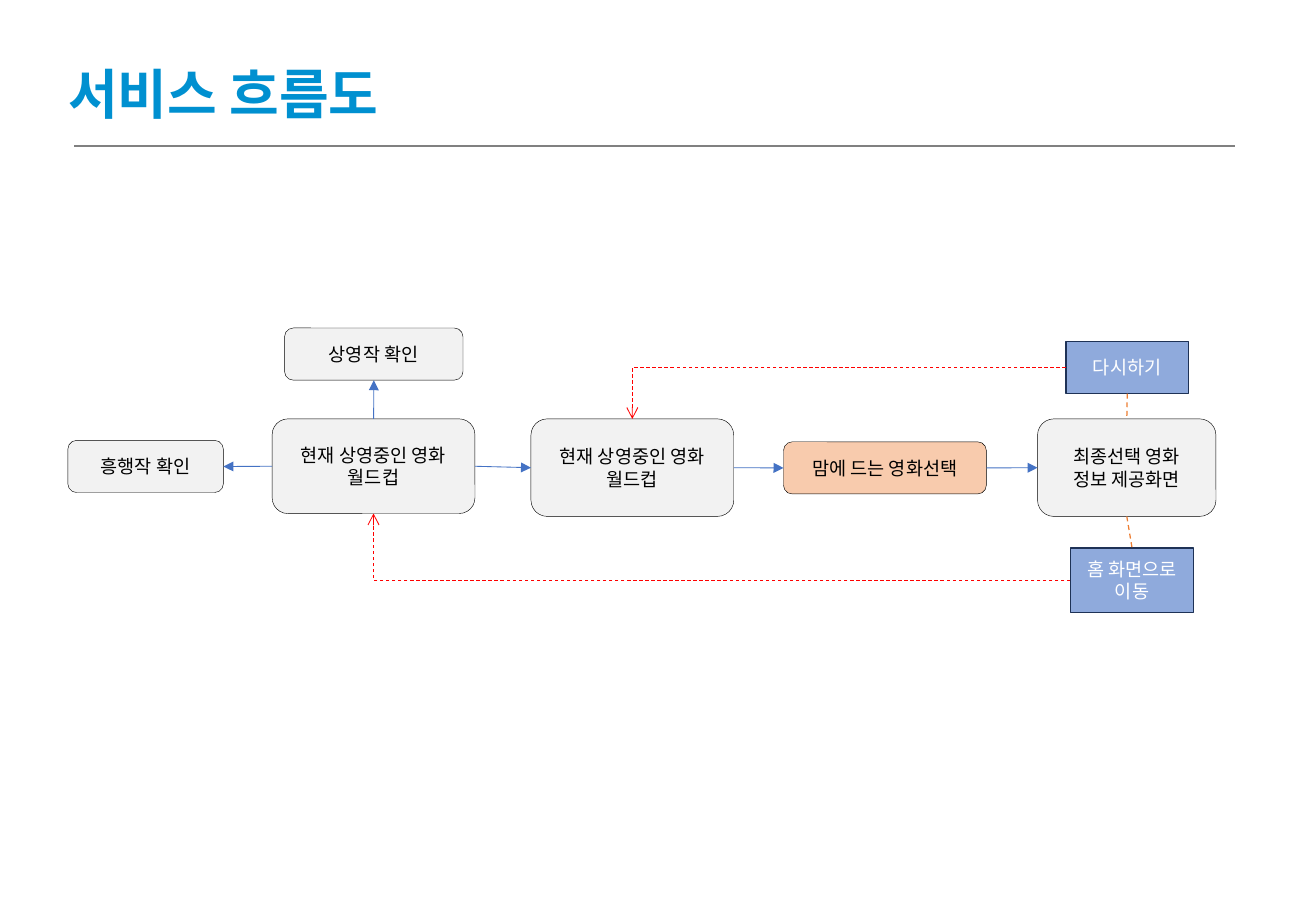
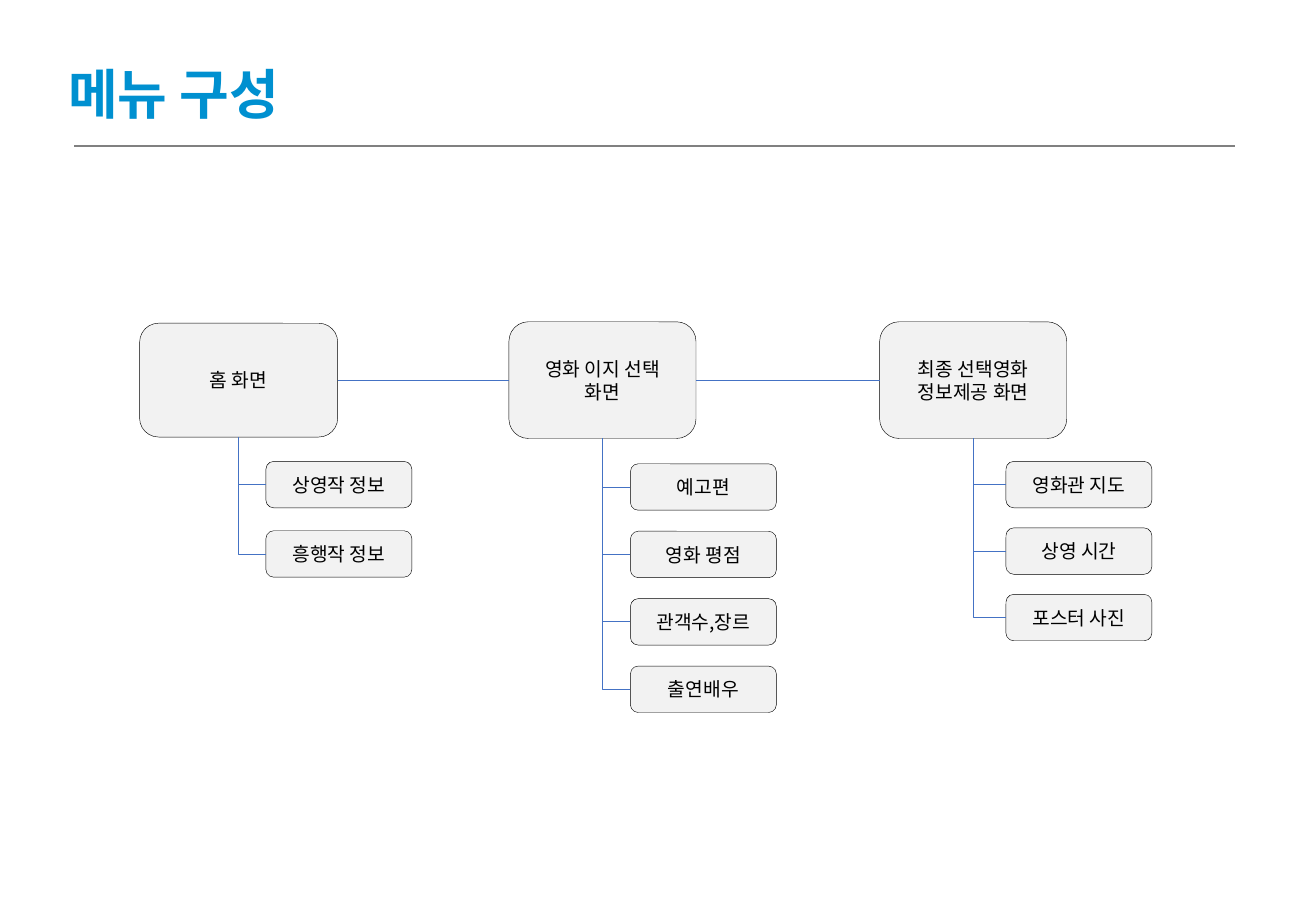
from lxml import etree
from pptx import Presentation
from pptx import util as u
from pptx.dml.color import RGBColor
from pptx.enum import dml, shapes, text
from pptx.oxml.ns import qn

COLORS = {
    "title": "0090D0", "rule": "808080", "ink": "000000", "white": "FFFFFF",
    "step": "F2F2F2", "choice": "F8CBAD", "button": "8FAADC", "button_edge": "1E3256",
    "flow": "4472C4", "back": "FF0000", "option": "ED7D31",
}
HANGUL_FONT = "Noto Sans CJK KR"
TOP, LEFT, BOTTOM, RIGHT = range(4)
STRAIGHT, ELBOW = shapes.MSO_CONNECTOR.STRAIGHT, shapes.MSO_CONNECTOR.ELBOW


def rgb(name):
    return RGBColor.from_string(COLORS[name])


class Deck:
    def __init__(self):
        self.prs = Presentation()
        self.prs.slide_width, self.prs.slide_height = u.Cm(27.51), u.Cm(19.05)
        self.slide = None
        self.size = 11

    def new_slide(self, title, title_width, size):
        self.slide = self.prs.slides.add_slide(self.prs.slide_layouts[5])
        self.size = size
        heading = self.slide.shapes.title
        heading.left, heading.top = u.Cm(1.17), u.Cm(1.14)
        heading.width, heading.height = u.Cm(title_width), u.Cm(1.63)
        heading.text_frame.auto_size = text.MSO_AUTO_SIZE.NONE
        heading.text_frame.vertical_anchor = text.MSO_ANCHOR.TOP
        self.set_words(heading, title, "Calibri", 32, "title", text.PP_ALIGN.LEFT, True)
        rule = self.slide.shapes.add_connector(
            STRAIGHT, u.Cm(1.55), u.Cm(3.05), u.Cm(25.81), u.Cm(3.05))
        self.style_line(rule, "rule", 1.5)

    def set_words(self, shape, words, font, size, color, align, bold=False):
        shape.text_frame.text = words
        shape.text_frame.word_wrap = True
        for paragraph in shape.text_frame.paragraphs:
            paragraph.alignment = align
            for run in paragraph.runs:
                run.font.name, run.font.size = font, u.Pt(size)
                run.font.bold = bold
                run.font.color.rgb = rgb(color)
                east_asian = etree.SubElement(run._r.get_or_add_rPr(), qn("a:ea"))
                east_asian.set("typeface", HANGUL_FONT)

    def box(self, words, left, top, width, height, preset, fill, edge, weight, font, ink):
        shape = self.slide.shapes.add_shape(
            preset, u.Cm(left), u.Cm(top), u.Cm(width), u.Cm(height))
        shape.shadow.inherit = False
        shape.fill.solid()
        shape.fill.fore_color.rgb = rgb(fill)
        shape.line.color.rgb = rgb(edge)
        shape.line.width = u.Pt(weight)
        shape.text_frame.vertical_anchor = text.MSO_ANCHOR.MIDDLE
        self.set_words(shape, words, font, self.size, ink, text.PP_ALIGN.CENTER)
        return shape

    def step(self, words, left, top, width, height, fill="step"):
        return self.box(words, left, top, width, height, shapes.MSO_SHAPE.ROUNDED_RECTANGLE,
                        fill, "ink", 0.25, HANGUL_FONT, "ink")

    def button(self, words, left, top, width, height):
        return self.box(words, left, top, width, height, shapes.MSO_SHAPE.RECTANGLE,
                        "button", "button_edge", 1, "Calibri", "white")

    def link(self, start, start_side, end, end_side, kind=STRAIGHT,
             color="flow", weight=0.5, dashed=False, head=None):
        connector = self.slide.shapes.add_connector(kind, 0, 0, 0, 0)
        connector.begin_connect(start, start_side)
        connector.end_connect(end, end_side)
        if kind == ELBOW:
            connector.element.spPr.find(qn("a:prstGeom")).set("prst", "bentConnector2")
        self.style_line(connector, color, weight, dashed, head)

    def style_line(self, connector, color, weight, dashed=False, head=None):
        connector.line.color.rgb = rgb(color)
        connector.line.width = u.Pt(weight)
        if dashed:
            connector.line.dash_style = dml.MSO_LINE.DASH
        properties = connector.element.spPr
        if head:
            etree.SubElement(properties.find(qn("a:ln")), qn("a:tailEnd")).set("type", head)
        etree.SubElement(properties, qn("a:effectLst"))


def service_flow(deck):
    deck.new_slide("서비스 흐름도", 7.62, 11)
    world_cup = "현재 상영중인 영화\v월드컵"
    home = deck.step(world_cup, 5.69, 8.76, 4.24, 1.98)
    showing = deck.step("상영작 확인", 5.95, 6.86, 3.73, 1.09)
    hits = deck.step("흥행작 확인", 1.42, 9.21, 3.25, 1.09)
    tournament = deck.step(world_cup, 11.1, 8.76, 4.24, 2.04)
    choice = deck.step("맘에 드는 영화선택", 16.38, 9.24, 4.24, 1.09, "choice")
    result = deck.step("최종선택 영화\n정보 제공화면", 21.69, 8.76, 3.73, 2.04)
    retry = deck.button("다시하기", 22.28, 7.14, 2.57, 1.09)
    go_home = deck.button("홈 화면으로 이동", 22.38, 11.46, 2.57, 1.35)

    for start, start_side, end, end_side in (
        (home, TOP, showing, BOTTOM),
        (home, LEFT, hits, RIGHT),
        (home, RIGHT, tournament, LEFT),
        (tournament, RIGHT, choice, LEFT),
        (choice, RIGHT, result, LEFT),
    ):
        deck.link(start, start_side, end, end_side, head="triangle")
    for start, end, end_side in ((retry, tournament, TOP), (go_home, home, BOTTOM)):
        deck.link(start, LEFT, end, end_side, ELBOW, "back", dashed=True, head="arrow")
    for upper, lower in ((retry, result), (result, go_home)):
        deck.link(upper, BOTTOM, lower, TOP, color="option", weight=0.75, dashed=True)


def menu_structure(deck):
    deck.new_slide("메뉴 구성", 5.33, 11.4)
    menus = (
        ("홈 화면", (2.92, 6.76, 4.14, 2.38), (5.56, 9.65, 1.45),
         ("상영작 정보", "흥행작 정보")),
        ("영화 이지 선택 화면", (10.64, 6.73, 3.91, 2.44), (13.18, 9.7, 1.41),
         ("예고편", "영화 평점", "관객수,장르", "출연배우")),
        ("최종 선택영화 정보제공 화면", (18.39, 6.73, 3.91, 2.44), (21.03, 9.65, 1.39),
         ("영화관 지도", "상영 시간", "포스터 사진")),
    )
    previous = None
    for screen_name, frame, (left, top, pitch), items in menus:
        screen = deck.step(screen_name, *frame)
        for row, item_name in enumerate(items):
            item = deck.step(item_name, left, top + row * pitch, 3.05, 0.97)
            deck.link(item, LEFT, screen, BOTTOM, ELBOW)
        if previous:
            deck.link(previous, RIGHT, screen, LEFT)
        previous = screen


def main():
    deck = Deck()
    service_flow(deck)
    menu_structure(deck)
    deck.prs.save("out.pptx")


if __name__ == "__main__":
    main()
